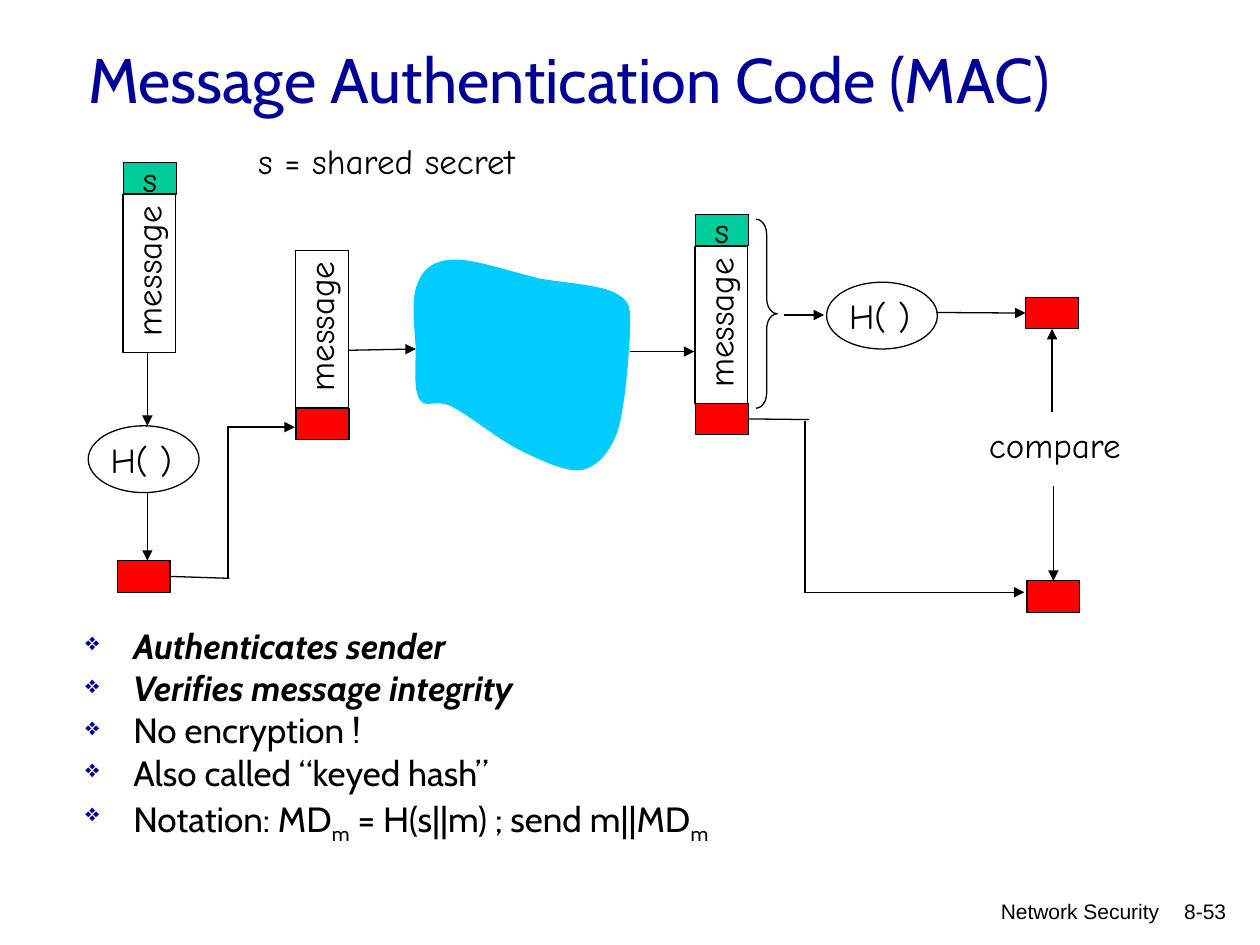
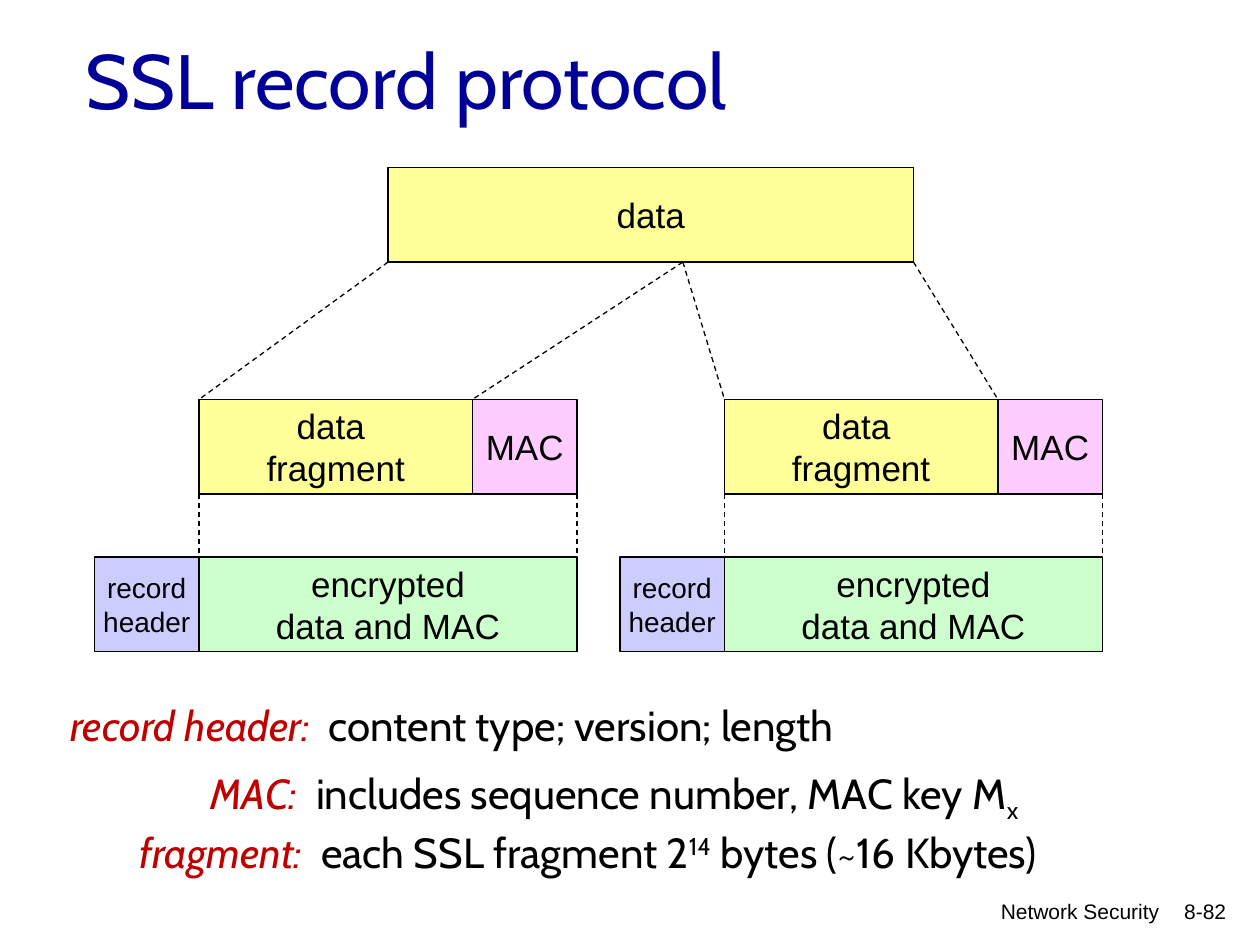
"""Builds two network security slides: message authentication code and SSL record protocol."""
from lxml import etree
from pptx import Presentation
from pptx.dml.color import RGBColor
from pptx.enum.dml import MSO_LINE
from pptx.enum.shapes import MSO_CONNECTOR, MSO_SHAPE
from pptx.enum.text import MSO_ANCHOR, MSO_AUTO_SIZE, PP_ALIGN
from pptx.oxml.ns import qn
from pptx.util import Inches, Pt

RECTANGLE, OVAL, RIGHT_BRACE = MSO_SHAPE.RECTANGLE, MSO_SHAPE.OVAL, MSO_SHAPE.RIGHT_BRACE
STRAIGHT, DASH = MSO_CONNECTOR.STRAIGHT, MSO_LINE.DASH
LEFT, CENTER, RIGHT = PP_ALIGN.LEFT, PP_ALIGN.CENTER, PP_ALIGN.RIGHT
TOP, MIDDLE = MSO_ANCHOR.TOP, MSO_ANCHOR.MIDDLE
GROW = MSO_AUTO_SIZE.SHAPE_TO_FIT_TEXT
SIDE_TOP, SIDE_LEFT, SIDE_BOTTOM, SIDE_RIGHT = range(4)

BLACK = RGBColor(0x00, 0x00, 0x00)
NAVY = RGBColor(0x00, 0x00, 0x99)
GREEN = RGBColor(0x00, 0xCC, 0x99)
RED = RGBColor(0xFF, 0x00, 0x00)
CLOUD_BLUE = RGBColor(0x00, 0xCC, 0xFF)
DARK_RED = RGBColor(0xC0, 0x00, 0x00)
YELLOW = RGBColor(0xFF, 0xFF, 0x99)
PINK = RGBColor(0xFF, 0xCC, 0xFF)
MINT = RGBColor(0xCC, 0xFF, 0xCC)
LILAC = RGBColor(0xCC, 0xCC, 0xFF)

LINE_WIDTH = Pt(0.75)
FOOTER = {"name": "Arial", "size": Pt(12)}
DIAGRAM = {"name": "Comic Neue", "size": Pt(20)}
RECORD = {"name": "Arial", "size": Pt(20)}
HEADER = {"name": "Arial", "size": Pt(16)}
BODY = {"name": "Cabin", "size": Pt(20)}
NOTE = {"name": "Cabin", "size": Pt(24)}
STRONG = {"bold": True, "italic": True}
TERM = {"italic": True, "color": DARK_RED}
SUBSCRIPT = {"baseline": -25000}
SUPERSCRIPT = {"baseline": 30000}


def add_box(slide, preset, box, paragraphs=(), style=RECORD, fill=None, align=LEFT,
            anchor=TOP, wrap=False, grow=False, rotation=0):
    """Adds a preset shape, or a text box if preset is None, with formatted runs."""
    position = [Inches(value) for value in box]
    if preset is None:
        shape = slide.shapes.add_textbox(*position)
    else:
        shape = slide.shapes.add_shape(preset, *position)
        shape.shadow.inherit = False
        shape.line.color.rgb = BLACK
        shape.line.width = LINE_WIDTH
        if fill is None:
            shape.fill.background()
        else:
            shape.fill.solid()
            shape.fill.fore_color.rgb = fill
    shape.rotation = rotation
    frame = shape.text_frame
    frame.word_wrap = wrap
    frame.vertical_anchor = anchor
    if grow:
        frame.auto_size = GROW
    for index, runs in enumerate(paragraphs):
        paragraph = frame.add_paragraph() if index else frame.paragraphs[0]
        paragraph.alignment = align
        for text, extra in [(runs, {})] if isinstance(runs, str) else runs:
            run = paragraph.add_run()
            run.text = text
            for name, value in {"color": BLACK, **style, **extra}.items():
                if name == "color":
                    run.font.color.rgb = value
                elif name == "baseline":
                    run._r.get_or_add_rPr().set("baseline", str(value))
                else:
                    setattr(run.font, name, value)
    return shape


def add_line(slide, start, end, arrow=False, dashed=False, begin=None, finish=None):
    """Adds a straight line, joined to (shape, side) pairs where given."""
    line = slide.shapes.add_connector(STRAIGHT, *[Inches(value) for value in (*start, *end)])
    line.line.color.rgb = BLACK
    line.line.width = LINE_WIDTH
    if dashed:
        line.line.dash_style = DASH
    if arrow:
        etree.SubElement(line.line._get_or_add_ln(), qn("a:tailEnd"), type="triangle")
    etree.SubElement(line._element.spPr, qn("a:effectLst"))
    if begin:
        line.begin_connect(*begin)
    if finish:
        line.end_connect(*finish)


presentation = Presentation()
presentation.slide_width, presentation.slide_height = Inches(10), Inches(7.5)

slides = []
for title, left, width, size, number in (
    ("Message Authentication Code (MAC)", 0.6, 8.88, 36, "8-53"),
    ("SSL record protocol", 0.58, 8.5, 44, "8-82"),
):
    slide = presentation.slides.add_slide(presentation.slide_layouts[6])
    add_box(slide, None, (9.09, 7.08, 0.74, 0.33), [number], FOOTER, align=RIGHT, wrap=True)
    add_box(slide, None, (5.08, 7.08, 4.22, 0.34), ["Network Security"], FOOTER,
            align=RIGHT, wrap=True)
    add_box(slide, None, (left, 0, width, 1.25), [title],
            {"name": "Cabin", "size": Pt(size), "color": NAVY}, anchor=MIDDLE, wrap=True)
    slides.append(slide)
mac_slide, ssl_slide = slides

for left, top in ((0.56, 1.96), (1.93, 2.4), (5.1, 2.37)):
    add_box(mac_slide, RECTANGLE, (left, top, 1.25, 0.42), rotation=270)
    add_box(mac_slide, None, (left, top - 0.03, 1.23, 0.44), ["message"], DIAGRAM,
            grow=True, rotation=270)
for left, top in ((0.98, 1.29), (5.52, 1.7)):
    add_box(mac_slide, RECTANGLE, (left, top, 0.42, 0.25), ["s"], DIAGRAM, GREEN, CENTER, MIDDLE)
for left, top in ((0.7, 3.38), (6.56, 2.24)):
    add_box(mac_slide, OVAL, (left, top, 0.88, 0.53))
    add_box(mac_slide, None, (left + 0.08, top + 0.05, 0.88, 0.44), ["H( )"], DIAGRAM,
            wrap=True, grow=True)
sender_digest, sent_digest, received_digest, computed_digest, compared_digest = [
    add_box(mac_slide, RECTANGLE, (left, top, 0.42, 0.25), fill=RED)
    for left, top in ((0.93, 4.45), (2.35, 3.24), (5.52, 3.2), (8.14, 2.36), (8.15, 4.61))
]
for text, left, top, width in (("compare", 7.75, 3.31, 1.25),
                               ("s = shared secret", 1.95, 1.06, 2.25)):
    add_box(mac_slide, None, (left, top, width, 0.44), [text], DIAGRAM, grow=True)
brace = add_box(mac_slide, RIGHT_BRACE, (6, 1.74, 0.17, 1.5))
brace.adjustments[0] = 0.71

cloud_start = (3.59, 2.06)
cloud_curves = (
    ((3.42, 2.07), (3.35, 2.15), (3.31, 2.26)),
    ((3.26, 2.38), (3.29, 2.61), (3.3, 2.76)),
    ((3.3, 2.91), (3.28, 3.09), (3.33, 3.17)),
    ((3.38, 3.25), (3.46, 3.16), (3.59, 3.23)),
    ((3.73, 3.3), (3.97, 3.5), (4.14, 3.58)),
    ((4.31, 3.66), (4.49, 3.75), (4.62, 3.73)),
    ((4.74, 3.7), (4.83, 3.61), (4.9, 3.43)),
    ((4.96, 3.25), (4.99, 2.84), (5, 2.65)),
    ((5, 2.47), (5.02, 2.41), (4.91, 2.34)),
    ((4.79, 2.26), (4.5, 2.25), (4.28, 2.21)),
    ((4.07, 2.16), (3.75, 2.05), cloud_start),
)
steps = 12
points = []
current = cloud_start
for first, second, end in cloud_curves:
    for step in range(1, steps + 1):
        t = step / steps
        points.append([
            Inches((1 - t) ** 3 * a + 3 * t * (1 - t) ** 2 * b + 3 * t ** 2 * (1 - t) * c + t ** 3 * d)
            for a, b, c, d in zip(current, first, second, end)
        ])
    current = end
builder = mac_slide.shapes.build_freeform(*[Inches(value) for value in cloud_start])
builder.add_line_segments(points, close=True)
cloud = builder.convert_to_shape()
cloud.shadow.inherit = False
cloud.fill.solid()
cloud.fill.fore_color.rgb = CLOUD_BLUE
cloud.line.fill.background()

for start, end, arrow, begin, finish in (
    ((1.17, 2.79), (1.17, 3.38), True, None, None),
    ((1.17, 3.91), (1.17, 4.45), True, None, None),
    ((1.35, 4.58), (1.82, 4.59), False, (sender_digest, SIDE_RIGHT), None),
    ((1.81, 4.59), (1.81, 3.39), False, None, None),
    ((1.8, 3.39), (2.34, 3.39), True, None, None),
    ((2.77, 2.78), (3.3, 2.77), True, None, None),
    ((5, 2.79), (5.51, 2.79), True, None, None),
    ((6.22, 2.5), (6.54, 2.5), True, None, None),
    ((7.43, 2.48), (8.14, 2.48), True, None, (computed_digest, SIDE_LEFT)),
    ((5.94, 3.33), (6.42, 3.33), False, (received_digest, SIDE_RIGHT), None),
    ((6.39, 3.34), (6.39, 4.71), False, None, None),
    ((6.39, 4.7), (8.13, 4.7), True, None, None),
    ((8.35, 3.27), (8.35, 2.61), True, None, (computed_digest, SIDE_BOTTOM)),
    ((8.36, 3.86), (8.36, 4.61), True, None, (compared_digest, SIDE_TOP)),
):
    add_line(mac_slide, start, end, arrow, begin=begin, finish=finish)

properties = add_box(mac_slide, None, (0.58, 4.97, 8.5, 1.87), [
    [("Authenticates sender", STRONG)],
    [("Verifies message integrity", STRONG)],
    "No encryption !",
    "Also called “keyed hash”",
    [("Notation: MD", {}), ("m", SUBSCRIPT), (" = H(s||m) ; send m||MD", {}), ("m", SUBSCRIPT)],
], BODY, wrap=True)
for index, paragraph in enumerate(properties.text_frame.paragraphs):
    paragraph.line_spacing = 0.8
    paragraph.space_before = Pt(5 if index else 0)
    settings = paragraph._p.get_or_add_pPr()
    settings.set("marL", str(Inches(0.38)))
    settings.set("indent", str(-Inches(0.38)))
    bullet_color = etree.SubElement(settings, qn("a:buClr"))
    etree.SubElement(bullet_color, qn("a:srgbClr"), val=str(NAVY))
    etree.SubElement(settings, qn("a:buSzPct"), val="70000")
    etree.SubElement(settings, qn("a:buChar"), char="❖")

add_box(ssl_slide, RECTANGLE, (3.08, 1.33, 4.17, 0.75), ["data"], RECORD, YELLOW, CENTER, MIDDLE)
for record_left in (0.75, 4.92):
    for offset, top, width, lines, style, fill in (
        (0.83, 3.17, 2.17, ["data ", "fragment"], RECORD, YELLOW),
        (3, 3.17, 0.83, ["MAC"], RECORD, PINK),
        (0.83, 4.42, 3, ["encrypted", "data and MAC"], RECORD, MINT),
        (0, 4.42, 0.83, ["record", "header"], HEADER, LILAC),
    ):
        add_box(ssl_slide, RECTANGLE, (record_left + offset, top, width, 0.75), lines, style,
                fill, CENTER, MIDDLE)
    for offset in (0.83, 3.83):
        x = record_left + offset
        add_line(ssl_slide, (x, 3.92), (x, 4.42), dashed=True)
for data_x, fragment_x in ((3.08, 1.58), (5.42, 3.75), (5.42, 5.75), (7.25, 7.92)):
    add_line(ssl_slide, (data_x, 2.08), (fragment_x, 3.17), dashed=True)

for box, tab_stop, term, runs in (
    ((0.46, 5.5, 7.12, 0.5), 2.05, "record header:", [("content type; version; length", {})]),
    ((1.57, 6.04, 7.36, 0.56), 0.84, "MAC:",
     [("includes sequence number, MAC key M", {}), ("x", SUBSCRIPT)]),
    ((1.01, 6.51, 8.19, 0.5), 1.44, "fragment:",
     [("each SSL fragment 2", {}), ("14", SUPERSCRIPT), (" bytes (~16 Kbytes)", {})]),
):
    note = add_box(ssl_slide, None, box, [[(term + "\t", TERM), *runs]], NOTE, grow=True)
    settings = note.text_frame.paragraphs[0]._p.get_or_add_pPr()
    tabs = etree.SubElement(settings, qn("a:tabLst"))
    etree.SubElement(tabs, qn("a:tab"), pos=str(Inches(tab_stop)), algn="l")

presentation.save("out.pptx")
